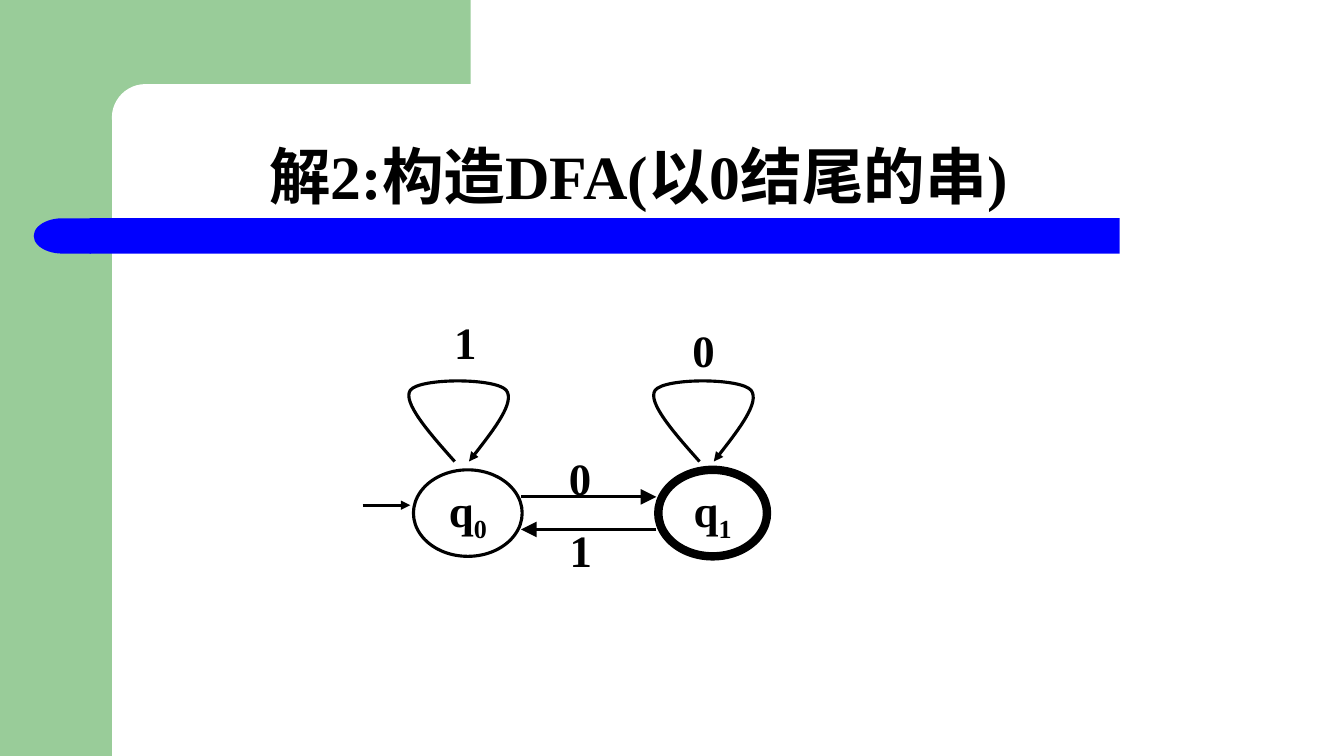
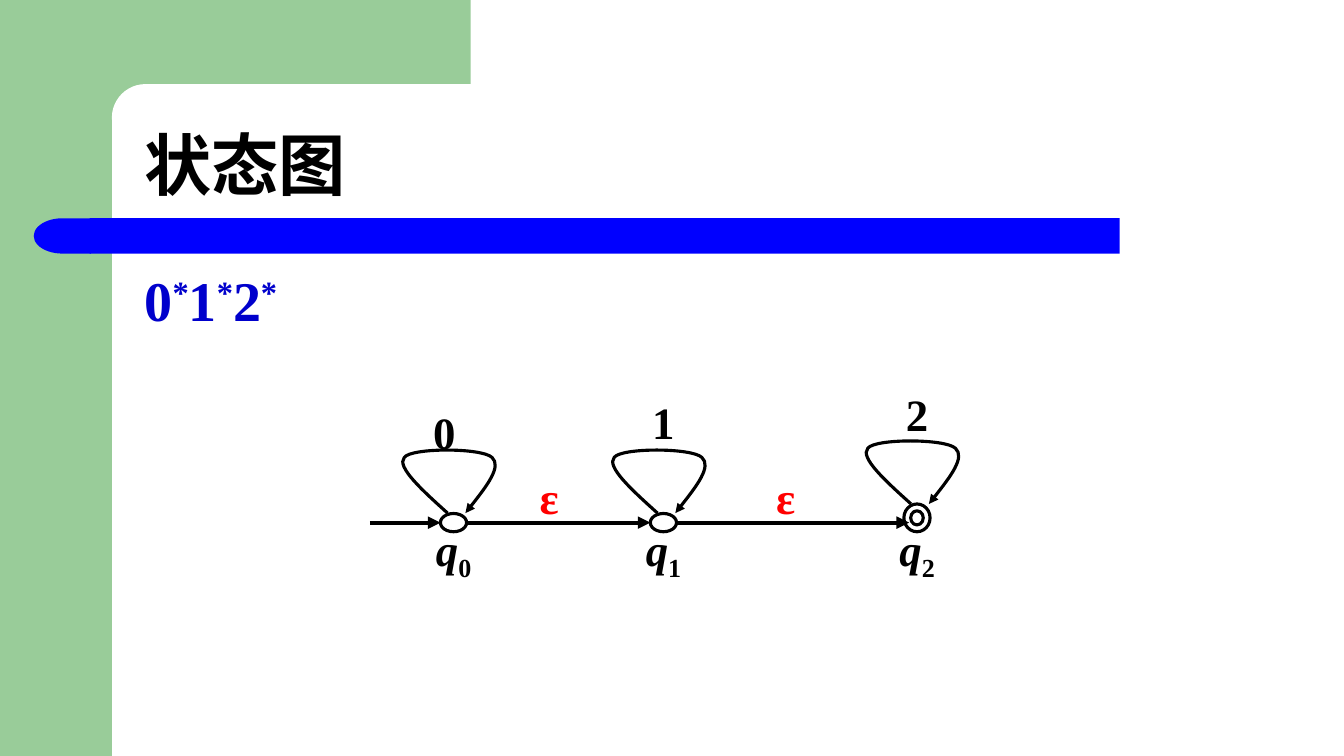
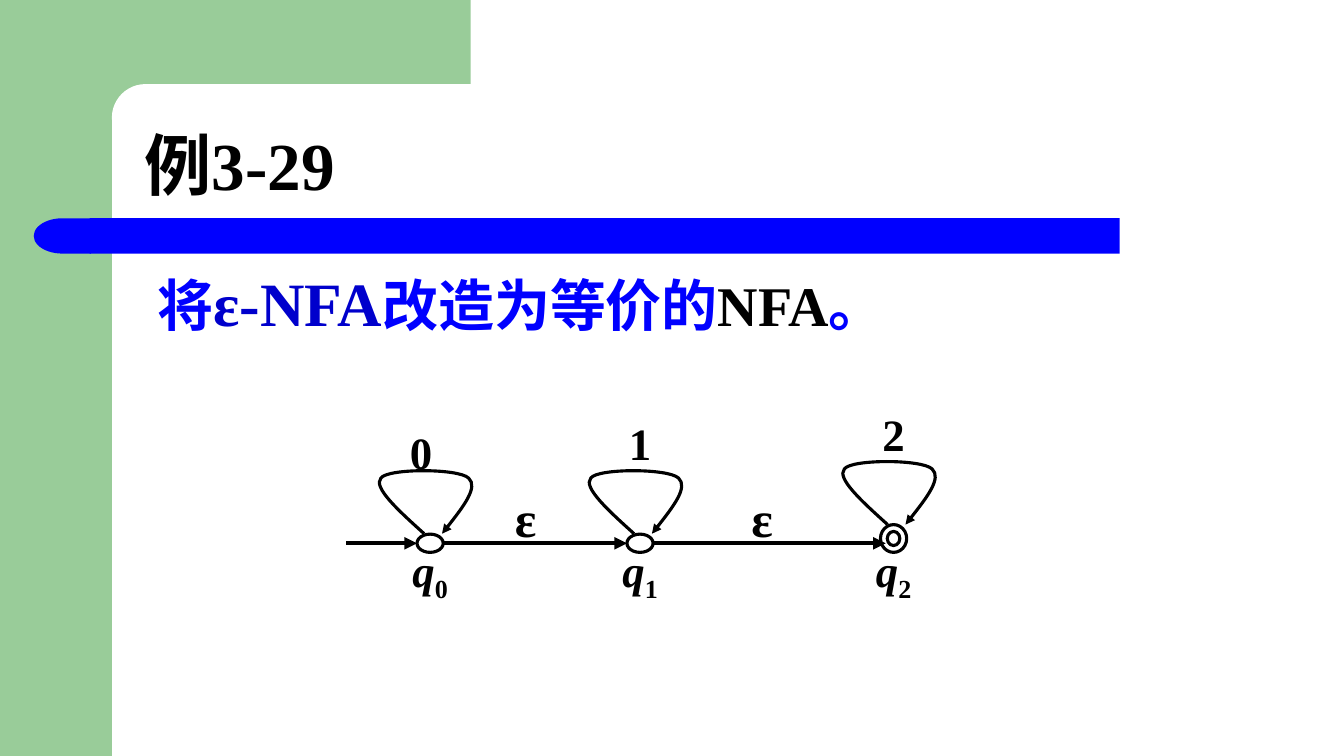
from lxml import etree
from pptx import Presentation
from pptx.dml.color import RGBColor
from pptx.enum import shapes, text
from pptx.oxml.ns import qn
from pptx.util import Cm, Pt

FONT = "Times New Roman"
BLACK, WHITE, RED = "000000", "FFFFFF", "FF0000"
GREEN, BLUE, DARK_BLUE = "99CC99", "0000FF", "0000CC"
SHAPE = shapes.MSO_SHAPE

# Self-loop outline: x offsets from the state in cm, heights as shares of the loop
LOOP_RISE = (0, 0.35, 0.71, 0.85, 1, 1, 0.85, 0.71, 0.35, 0)
FLAT_LOOP = (-0.15, -0.79, -1.45, -1.24, -1.07, 0.71, 0.97, 1.22, 0.76, 0.3)
TALL_LOOP = (-0.33, -0.99, -1.65, -1.45, -1.22, 0.71, 0.97, 1.19, 0.61, 0.03)


def rgb(color):
    return RGBColor.from_string(color)


def add_run(p, content, size, color=BLACK, italic=False, baseline=0):
    r = p.add_run()
    r.text = content
    r.font.name, r.font.size = FONT, Pt(size)
    r.font.bold, r.font.italic = True, italic
    r.font.color.rgb = rgb(color)
    if baseline:
        r._r.get_or_add_rPr().set("baseline", str(baseline * 1000))


def add_state_name(p, number, italic):
    add_run(p, "q", 32, italic=italic)
    add_run(p, str(number), 32, baseline=-25)


def center_text(sp, wrap):
    tf = sp.text_frame
    tf.margin_left = tf.margin_right = tf.margin_top = tf.margin_bottom = 0
    tf.vertical_anchor = text.MSO_ANCHOR.MIDDLE
    tf.word_wrap = wrap
    p = tf.paragraphs[0]
    p.alignment = text.PP_ALIGN.CENTER
    return p


def add_block(slide, kind, x, y, w, h, fill):
    sp = slide.shapes.add_shape(kind, Cm(x), Cm(y), Cm(w), Cm(h))
    sp.shadow.inherit = False
    sp.fill.solid()
    sp.fill.fore_color.rgb = rgb(fill)
    sp.line.fill.background()
    return sp


def add_state(slide, x, y, w, h, width=2.25, kind=SHAPE.OVAL):
    sp = slide.shapes.add_shape(kind, Cm(x - w / 2), Cm(y - h / 2), Cm(w), Cm(h))
    sp.shadow.inherit = False
    sp.fill.background()
    sp.line.color.rgb, sp.line.width = rgb(BLACK), Pt(width)
    return sp


def add_label(slide, x, y, w=1.5, h=1.37):
    box = slide.shapes.add_textbox(Cm(x - w / 2), Cm(y - h / 2), Cm(w), Cm(h))
    return center_text(box, True)


def add_symbol(slide, x, y, content, size=32, color=BLACK):
    add_run(add_label(slide, x, y), content, size, color)


def add_arrowhead(line, size="med"):
    etree.SubElement(line.line._get_or_add_ln(), qn("a:tailEnd"),
                     type="triangle", w=size, len=size)


def add_arrow(slide, x1, x2, y, width=2.25, head="med"):
    line = slide.shapes.add_connector(shapes.MSO_CONNECTOR.STRAIGHT,
                                      Cm(x1), Cm(y), Cm(x2), Cm(y))
    line.line.color.rgb, line.line.width = rgb(BLACK), Pt(width)
    add_arrowhead(line, head)
    etree.SubElement(line.element.spPr, qn("a:effectLst"))


def add_loop(slide, x, base, offsets, height):
    points = [(Cm(x + dx), Cm(base - height * rise))
              for dx, rise in zip(offsets, LOOP_RISE)]
    builder = slide.shapes.build_freeform(*points[0])
    builder.add_line_segments(points[1:], close=False)
    loop = builder.convert_to_shape()
    # Each three straight segments become one Bezier curve
    outline = next(loop.element.iter(qn("a:path")))
    segments = outline.findall(qn("a:lnTo"))
    for i in range(0, len(segments), 3):
        curve = etree.SubElement(outline, qn("a:cubicBezTo"))
        for segment in segments[i:i + 3]:
            curve.append(segment[0])
            outline.remove(segment)
    loop.shadow.inherit = False
    loop.fill.background()
    loop.line.color.rgb, loop.line.width = rgb(BLACK), Pt(2.25)
    add_arrowhead(loop)


def place(sp, x, y, w, h):
    sp.left, sp.top, sp.width, sp.height = Cm(x), Cm(y), Cm(w), Cm(h)


def decorate_master(prs, slide):
    """Draw the shared bands and move them behind the master's placeholders."""
    bands = [
        add_block(slide, SHAPE.RECTANGLE, 0, 0, 2.82, 19.05, GREEN),
        add_block(slide, SHAPE.RECTANGLE, 2.54, 0, 9.32, 2.97, GREEN),
        add_block(slide, SHAPE.ROUNDED_RECTANGLE, 2.82, 2.12, 18.9, 1.69, WHITE),
        add_block(slide, SHAPE.RECTANGLE, 2.26, 5.5, 25.96, 0.89, BLUE),
        add_block(slide, SHAPE.FLOWCHART_DELAY, 0.85, 5.5, 1.44, 0.89, BLUE),
    ]
    bands[2].adjustments[0] = 0.5
    bands[4].rotation = 180
    for i, band in enumerate(bands):
        prs.slide_master.shapes._spTree.insert(2 + i, band.element)


def set_layout(layout):
    title, body = layout.placeholders[0], layout.placeholders[1]
    place(title, 3.39, 2.12, 29.63, 3.18)
    place(body, 3.39, 6.56, 29.63, 10.37)
    title.text_frame.vertical_anchor = text.MSO_ANCHOR.BOTTOM


def add_slide(prs, layout, heading, size=48):
    slide = prs.slides.add_slide(layout)
    tf = slide.shapes.title.text_frame
    tf.auto_size = text.MSO_AUTO_SIZE.NONE
    p = tf.paragraphs[0]
    p.alignment, p.line_spacing = text.PP_ALIGN.LEFT, 0.9
    add_run(p, heading, size)
    return slide


def fill_body(slide, runs):
    tf = slide.placeholders[1].text_frame
    tf.auto_size = text.MSO_AUTO_SIZE.NONE
    p = tf.paragraphs[0]
    pPr = p._p.get_or_add_pPr()
    pPr.set("marL", "0")
    pPr.set("indent", "0")
    etree.SubElement(pPr, qn("a:buNone"))
    for content, size, color, baseline in runs:
        add_run(p, content, size, color, baseline=baseline)


def draw_dfa(slide):
    y = 12.93
    for number, (x, width) in enumerate([(11.79, 2.25), (17.96, 6)]):
        state = add_state(slide, x, y, 2.74, 2.18, width)
        add_state_name(center_text(state, False), number, italic=False)
        add_loop(slide, x, 11.63, TALL_LOOP, 2.11)
    add_arrow(slide, 9.14, 10.34, 12.73)
    add_arrow(slide, 13.13, 16.54, 12.52, head="lg")
    add_arrow(slide, 16.54, 13.13, 13.34, head="lg")
    for x, label_y, symbol in [(11.73, 8.61, "1"), (17.73, 8.81, "0"),
                               (14.62, 12.04, "0"), (14.64, 13.84, "1")]:
        add_symbol(slide, x, label_y, symbol)


def draw_epsilon_nfa(slide, left, y, epsilon_size, epsilon_color):
    """Chain of three states; left is the start of the first arrow, y its height."""
    centers = [left + dx for dx in (2.11, 7.4, 13.79)]
    radius = 0.33
    # States, loops and their labels
    for number, (x, label_dx, label_dy) in enumerate(
            zip(centers, (-0.23, 0, 0), (-2.3, -2.54, -2.76))):
        accepting = number == 2
        if accepting:
            ring = add_state(slide, x, y - 0.12, 0.66, 0.7, kind=SHAPE.DONUT)
            ring.adjustments[0] = 0.26
        else:
            add_state(slide, x, y, 0.66, 0.46)
        add_loop(slide, x, y - (0.47 if accepting else 0.24), FLAT_LOOP, 1.65)
        add_symbol(slide, x + label_dx, y + label_dy, str(number))
        add_state_name(add_label(slide, x, y + 0.75), number, italic=True)
    # Transitions
    starts = [left] + [x + radius for x in centers[:2]]
    ends = [x - radius for x in centers[:2]] + [centers[2] - 0.2]
    for start, end in zip(starts, ends):
        add_arrow(slide, start, end, y, 3)
    for dx in (4.52, 10.48):
        add_symbol(slide, left + dx, y - 0.65, "ε", epsilon_size, epsilon_color)


def main():
    prs = Presentation()
    prs.slide_width, prs.slide_height = Cm(33.87), Cm(19.05)
    layout = prs.slide_layouts[1]
    set_layout(layout)

    # DFA
    slide = add_slide(prs, layout, "解2:构造DFA(以0结尾的串)", 44)
    decorate_master(prs, slide)
    place(slide.shapes.title, 6.53, 2.31, 22.23, 3.18)
    body = slide.placeholders[1].element
    body.getparent().remove(body)
    draw_dfa(slide)

    # State diagram
    slide = add_slide(prs, layout, "状态图")
    fill_body(slide, [(symbol, 40, DARK_BLUE, 30 if symbol == "*" else 0)
                      for symbol in "0*1*2*"])
    draw_epsilon_nfa(slide, 9.32, 13.17, 32, RED)

    # Example 3-29
    slide = add_slide(prs, layout, "例3-29")
    fill_body(slide, [(" 将", 40, BLUE, 0), ("ε-NFA", 44, DARK_BLUE, 0),
                      ("改造为等价的", 40, BLUE, 0), ("NFA", 40, BLACK, 0),
                      ("。", 40, BLUE, 0)])
    draw_epsilon_nfa(slide, 8.73, 13.69, 36, BLACK)

    prs.save("out.pptx")


main()
